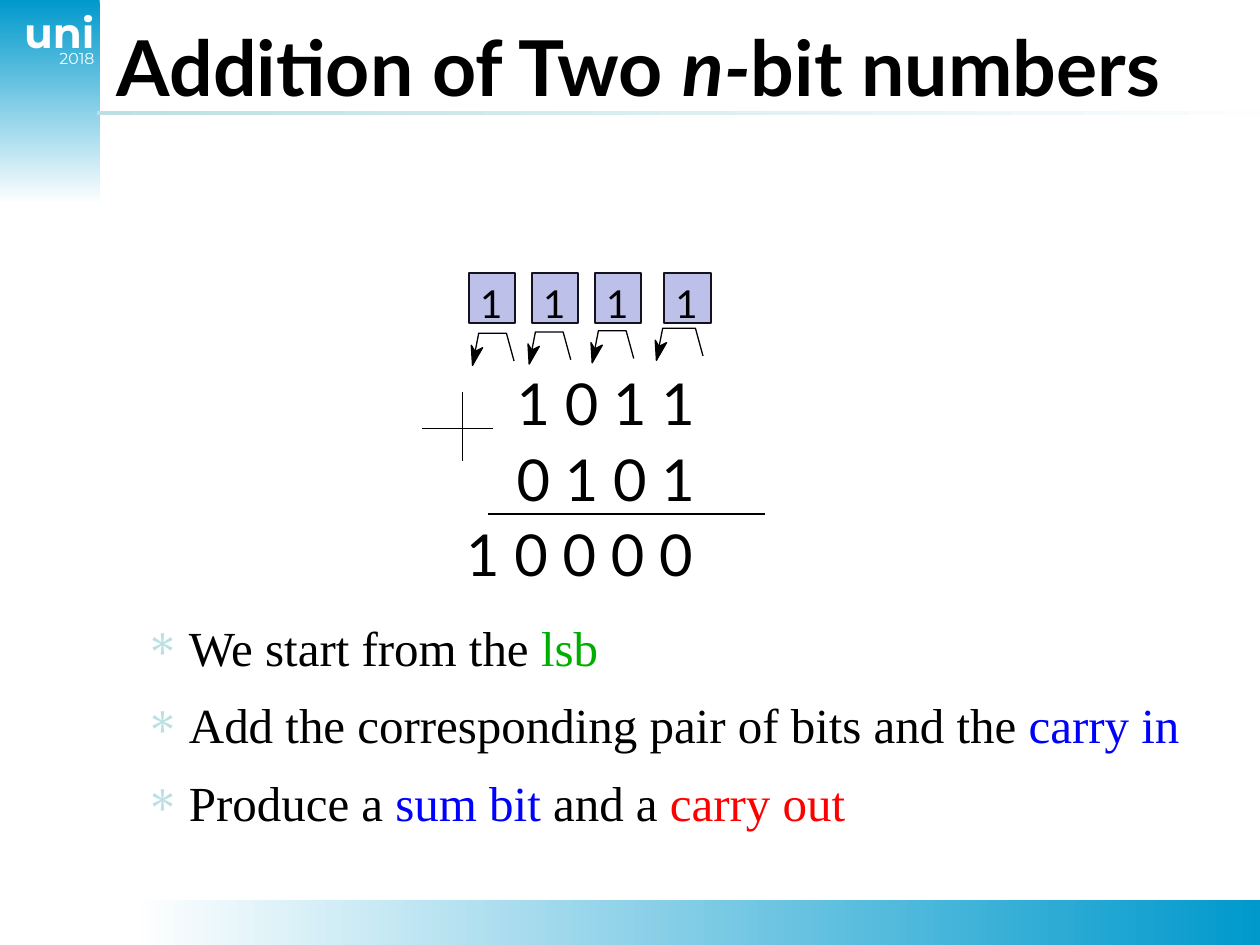
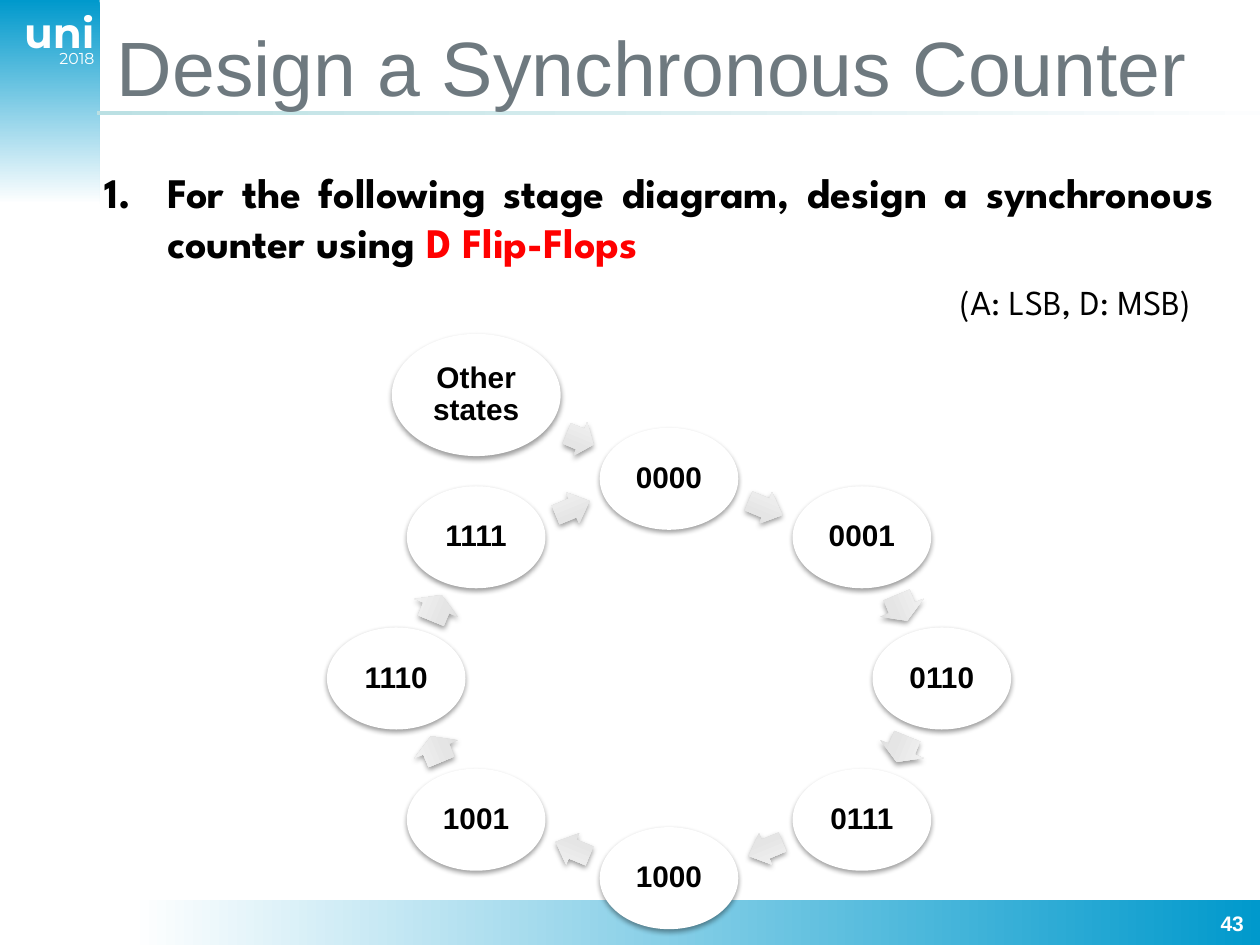
from dataclasses import dataclass
from math import cos, radians, sin

from lxml import etree
from pptx import Presentation as Deck
from pptx.dml.color import RGBColor as Rgb
from pptx.enum.shapes import MSO_CONNECTOR as Link, MSO_SHAPE as Kind
from pptx.enum.text import MSO_ANCHOR as Anchor, PP_ALIGN as Align
from pptx.oxml import parse_xml
from pptx.oxml.ns import qn
from pptx.util import Inches, Pt


@dataclass(frozen=True)
class Theme:
    black: str = "000000"
    white: str = "FFFFFF"
    gray: str = "6E797F"
    red: str = "FF0000"
    green: str = "00AE00"
    blue: str = "0000FF"
    sea: str = "0099CC"
    pale: str = "BBE0E3"
    mist: str = "FCFDFE"
    lilac: str = "BDC1EA"
    ink: str = "15111D"
    steel: tuple = ((0, "DADADA"), (35, "E5E5E5"), (100, "F5F5F5"))
    head: int = 44
    digit: int = 33
    point: int = 28
    task: int = 24
    carry: int = 22
    hint: int = 20
    state: int = 17
    page: int = 12
    year: int = 9
    sans: str = "Arial"
    lato: str = "Lato"
    mont: str = "Montserrat"
    bold: str = "League Spartan"
    serif: str = "Times New Roman"


look = Theme()
deck = Deck()
deck.slide_width, deck.slide_height = Inches(10), Inches(7.5)
cell = deck.slide_width // 100
NS = 'xmlns:a="http://schemas.openxmlformats.org/drawingml/2006/main"'


def put(page, kind, box, fill=None, turn=0, edge=None, glow=False, pad=(0, 0)):
    spot = [round(n * cell) for n in box]
    if kind is None:
        form = page.shapes.add_textbox(*spot)
    else:
        form = page.shapes.add_shape(kind, *spot)
        form.shadow.inherit = False
        if edge:
            form.line.color.rgb, form.line.width = Rgb.from_string(edge), Pt(1.13)
        else:
            form.line.fill.background()
        if isinstance(fill, str):
            form.fill.solid()
            form.fill.fore_color.rgb = Rgb.from_string(fill)
        else:
            stops = "".join(f'<a:gs pos="{at * 1000}"><a:srgbClr val="{hue}"/></a:gs>'
                            for at, hue in fill)
            form._element.spPr.find(qn("a:prstGeom")).addnext(parse_xml(
                f'<a:gradFill {NS} rotWithShape="1"><a:gsLst>{stops}</a:gsLst>'
                f'<a:lin ang="{turn * 60000}" scaled="0"/></a:gradFill>'))
        if glow:
            form._element.spPr.find(qn("a:effectLst")).append(parse_xml(
                f'<a:outerShdw {NS} blurRad="{Pt(3.1)}" dist="{Pt(1.6)}" dir="5400000" '
                'algn="ctr" rotWithShape="0"><a:srgbClr val="000000">'
                '<a:alpha val="38000"/></a:srgbClr></a:outerShdw>'))
    text = form.text_frame
    text.word_wrap = True
    text.margin_left = text.margin_right = round(pad[0] * cell)
    text.margin_top = text.margin_bottom = round(pad[1] * cell)
    return form


def say(form, runs, size, face, align=Align.LEFT, bold=False):
    text = form.text_frame
    line = text.paragraphs[0]
    if line.runs:
        line = text.add_paragraph()
    line.alignment = align
    for words, hue, *slant in runs:
        run = line.add_run()
        run.text = words
        font = run.font
        font.name, font.size, font.bold = face, Pt(size), bold
        font.italic = bool(slant)
        font.color.rgb = Rgb.from_string(hue)
    return line


heads = (
    ([("Addition of Two ", look.black), ("n-", look.black, True),
      ("bit numbers", look.black)], look.lato, True),
    ([("Design a Synchronous Counter", look.gray)], look.sans, False),
)
bands = (
    ((0, 0, 7.9, 16.2), look.sea, look.white, 90),
    ((7.7, 8.8, 92.3, 0.3), look.pale, look.mist, 0),
    ((10.4, 71.4, 89.6, 3.6), look.white, look.sea, 0),
)
pages = []
for runs, face, bold in heads:
    page = deck.slides.add_slide(deck.slide_layouts[6])
    pages.append(page)
    for box, start, end, turn in bands:
        put(page, Kind.RECTANGLE, box, ((0, start), (100, end)), turn)
    say(put(page, None, (2.4, 3.9, 5.1, 1.5)), [("2018", look.white)],
        look.year, look.mont, Align.RIGHT)
    say(put(page, None, (0.6, 0.5, 6.9, 3.2)), [("uni", look.white)],
        look.task, look.mont, Align.RIGHT, True)
    title = put(page, None, (8.3, 0.5, 90, 9.4), pad=(1, 0.5))
    title.text_frame.vertical_anchor = Anchor.MIDDLE
    say(title, runs, look.head, face, bold=bold)
sums, ring = pages

notes = put(sums, None, (10.3, 49.5, 86.7, 19.2))
for runs in (
    [("We start from the ", look.black), ("lsb", look.green)],
    [("Add the corresponding pair of bits and the ", look.black), ("carry in", look.blue)],
    [("Produce a ", look.black), ("sum bit", look.blue), (" and a ", look.black),
     ("carry out", look.red)],
):
    line = say(notes, runs, look.point, look.serif)
    line.line_spacing, line.space_after = 0.9, Pt(14.1)
    rule = line._p.get_or_add_pPr()
    rule.set("marL", str(Inches(0.47)))
    rule.set("indent", str(Inches(-0.35)))
    tint = etree.SubElement(rule, qn("a:buClr"))
    etree.SubElement(tint, qn("a:srgbClr")).set("val", look.pale)
    etree.SubElement(rule, qn("a:buChar")).set("char", "∗")

for bits, left, top in (("1 0 1 1", 41, 29.2), ("0 1 0 1", 41, 35.2), ("1 0 0 0 0", 37, 41.2)):
    say(put(sums, None, (left, top, 22, 6.3)), [(bits, look.black)], look.digit, look.lato)

for ends in ((38.7, 40.8, 60.7, 40.8), (33.5, 34, 39.1, 34), (36.7, 31.1, 36.7, 36.6)):
    bar = sums.shapes.add_connector(Link.STRAIGHT, *[round(n * cell) for n in ends])
    bar.line.color.rgb, bar.line.width = Rgb.from_string(look.black), Pt(0.88)
    etree.SubElement(bar._element.spPr, qn("a:effectLst"))

tip = ((0.2, -1.1), (-0.1, -1.6), (0, 0), (0.8, -1.4))
for left, foot, low, wide in (
    (37.2, 37.5, 29, 3.3), (42.2, 42, 28.9, 3.3), (47.2, 47, 28.8, 3.3), (52.7, 52.1, 28.6, 3.7),
):
    put(sums, Kind.RECTANGLE, (left, 21.7, 3.7, 3.9), look.lilac, edge=look.ink)
    say(put(sums, None, (left + 0.9, 22.2, 3.1, 4)), [("1", look.black)], look.carry, look.lato)
    hook = ((wide, -0.4 * 9), (wide - 0.6, -2.6 - 3.2), (0.5, -5.8), (0, -3.2))
    hook = ((wide, -0.35), (wide - 0.6, -2.55), (0.5, -2.55), (0, 0))
    for route, shut in ((hook, False), (tip, True)):
        dots = [(round((foot + x) * cell), round((low + y) * cell)) for x, y in route]
        pen = sums.shapes.build_freeform(*dots[0], scale=1.0)
        pen.add_line_segments(dots[1:], close=shut)
        mark = pen.convert_to_shape()
        mark.shadow.inherit = False
        mark.line.color.rgb, mark.line.width = Rgb.from_string(look.black), Pt(0.75)
        if shut:
            mark.fill.solid()
            mark.fill.fore_color.rgb = Rgb.from_string(look.black)
        else:
            mark.fill.background()

task = put(ring, None, (7.3, 12.7, 90, 16.2), pad=(1, 0.5))
line = say(task, [("For the following stage diagram, design a synchronous counter using ",
                   look.black), ("D Flip-Flops", look.red)],
           look.task, look.bold, Align.JUSTIFY, True)
line.space_before = Pt(4.8)
rule = line._p.get_or_add_pPr()
rule.set("marL", str(Inches(0.5)))
rule.set("indent", str(Inches(-0.5)))
etree.SubElement(rule, qn("a:buAutoNum")).set("type", "arabicPeriod")
line = say(task, [("(A: LSB, D: MSB)", look.black)], look.hint, look.bold, Align.RIGHT)
line.space_before = Pt(7.5)
line._p.get_or_add_pPr().set("marR", str(Inches(0.18)))
say(put(ring, None, (94.9, 71.8, 4.8, 3.2), pad=(1, 0.5)), [("43", look.white)],
    look.page, look.sans, Align.RIGHT, True)

names = ("0000", "0001", "0110", "0111", "1000", "1001", "1110", "1111")
spots = [(53.1 + 21.65 * sin(radians(45 * k)), 53.85 - 15.85 * cos(radians(45 * k)))
         for k in range(len(names))]
nodes = [(name, *spot, 11, 8.1) for name, spot in zip(names, spots)]
nodes.append(("Other states", 37.8, 31.35, 13.4, 9.7))
turns = []
for k, (x, y) in enumerate(spots):
    nx, ny = spots[(k + 1) % len(spots)]
    size = (2.9, 2.7) if k % 4 in (0, 3) else (2.2, 3.7)
    turns.append(((x + nx) / 2, (y + ny) / 2, *size, 22.5 + 45 * k))
turns.append((46.05, 34.85, 2.3, 2.9, 22.5))

for name, x, y, wide, high in nodes:
    oval = put(ring, Kind.OVAL, (x - wide / 2, y - high / 2, wide, high), look.white, glow=True)
    line = say(oval, [(name, look.black)], look.state, look.sans, Align.CENTER, True)
    line.line_spacing = 0.9
for x, y, wide, high, turn in turns:
    arrow = put(ring, Kind.RIGHT_ARROW, (x - wide / 2, y - high / 2, wide, high),
                look.steel, 270, glow=True)
    arrow.rotation = turn
    arrow.adjustments[0] = 0.6
    arrow.adjustments[1] = wide / 2 / min(wide, high)

deck.save("out.pptx")
